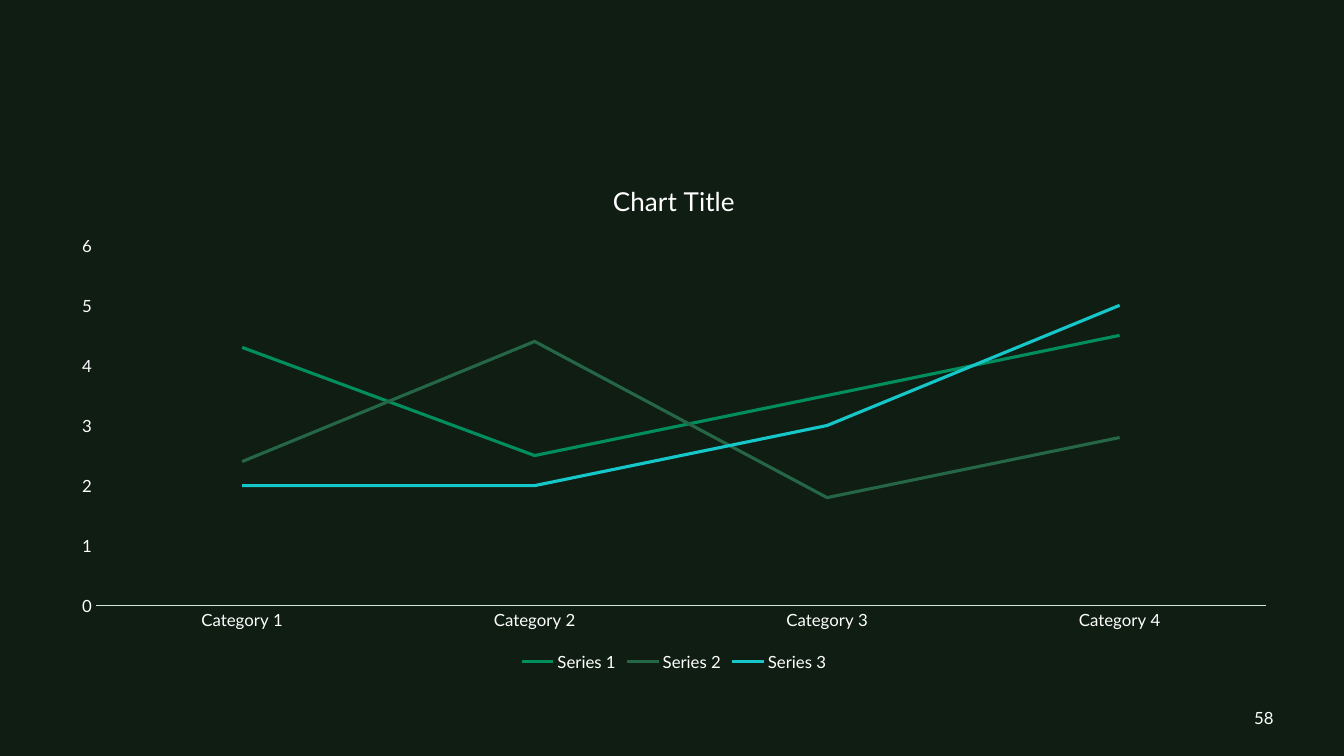
from dataclasses import dataclass

from pptx import Presentation
from pptx.chart.data import CategoryChartData
from pptx.dml.color import RGBColor
from pptx.enum.chart import XL_CHART_TYPE, XL_LEGEND_POSITION, XL_MARKER_STYLE, XL_TICK_MARK
from pptx.enum.text import MSO_ANCHOR, PP_ALIGN
from pptx.util import Inches, Pt

LINE_CHART = XL_CHART_TYPE.LINE
BOTTOM = XL_LEGEND_POSITION.BOTTOM
NO_MARKER = XL_MARKER_STYLE.NONE
NO_TICK = XL_TICK_MARK.NONE
MIDDLE = MSO_ANCHOR.MIDDLE
RIGHT = PP_ALIGN.RIGHT

CHART_TITLE = "Chart Title"
PAGE_NUMBER = "58"
CATEGORIES = ["Category 1", "Category 2", "Category 3", "Category 4"]
SERIES = [
    ("Series 1", (4.3, 2.5, 3.5, 4.5), "008E5E"),
    ("Series 2", (2.4, 4.4, 1.8, 2.8), "246646"),
    ("Series 3", (2, 2, 3, 5), "15C7C9"),
]
CHART_AREA = (0.57, 1.61, 12.23, 5.09)
NUMBER_AREA = (12.23, 6.92, 0.5, 0.4)


@dataclass(frozen=True)
class Theme:
    font: str = "Lato"
    background: str = "0F1D13"
    text: str = "FFFFFF"
    axis: str = "D1E7D7"
    title_size: float = 18.6
    label_size: float = 12
    axis_width: float = 0.75
    series_width: float = 2.25


THEME = Theme()


def style_font(font, size):
    font.name = THEME.font
    font.size = Pt(size)
    font.bold = False
    font.color.rgb = RGBColor.from_string(THEME.text)


def style_line(line, color, width):
    line.color.rgb = RGBColor.from_string(color)
    line.width = Pt(width)


def add_title(chart):
    chart.has_title = True
    chart.chart_title.include_in_layout = False
    span = chart.chart_title.text_frame.paragraphs[0].add_run()
    span.text = CHART_TITLE
    style_font(span.font, THEME.title_size)


def style_axes(chart):
    for axis in (chart.category_axis, chart.value_axis):
        axis.has_major_gridlines = False
        axis.major_tick_mark = NO_TICK
        axis.minor_tick_mark = NO_TICK
        style_font(axis.tick_labels.font, THEME.label_size)
    style_line(chart.category_axis.format.line, THEME.axis, THEME.axis_width)
    values = chart.value_axis
    values.format.line.fill.background()
    values.minimum_scale, values.maximum_scale, values.major_unit = 0, 6, 1
    values.tick_labels.number_format = "General"
    values.tick_labels.number_format_is_linked = False


def add_line_chart(page):
    data = CategoryChartData()
    data.categories = CATEGORIES
    for name, values, _ in SERIES:
        data.add_series(name, values)
    chart = page.shapes.add_chart(LINE_CHART, *map(Inches, CHART_AREA), data).chart
    style_font(chart.font, THEME.label_size)
    add_title(chart)
    style_axes(chart)
    chart.has_legend = True
    chart.legend.position = BOTTOM
    chart.legend.include_in_layout = False
    style_font(chart.legend.font, THEME.label_size)
    plot = chart.plots[0]
    plot.vary_by_categories = False
    for series, (_, _, color) in zip(plot.series, SERIES):
        series.smooth = False
        series.marker.style = NO_MARKER
        style_line(series.format.line, color, THEME.series_width)


def add_page_number(page):
    box = page.shapes.add_textbox(*map(Inches, NUMBER_AREA))
    frame = box.text_frame
    frame.word_wrap = True
    frame.vertical_anchor = MIDDLE
    para = frame.paragraphs[0]
    para.alignment = RIGHT
    span = para.add_run()
    span.text = PAGE_NUMBER
    style_font(span.font, THEME.label_size)


def main():
    deck = Presentation()
    deck.slide_width, deck.slide_height = Inches(13.33), Inches(7.5)
    page = deck.slides.add_slide(deck.slide_layouts.get_by_name("Blank"))
    fill = page.background.fill
    fill.solid()
    fill.fore_color.rgb = RGBColor.from_string(THEME.background)
    add_line_chart(page)
    add_page_number(page)
    deck.save("out.pptx")


if __name__ == "__main__":
    main()
